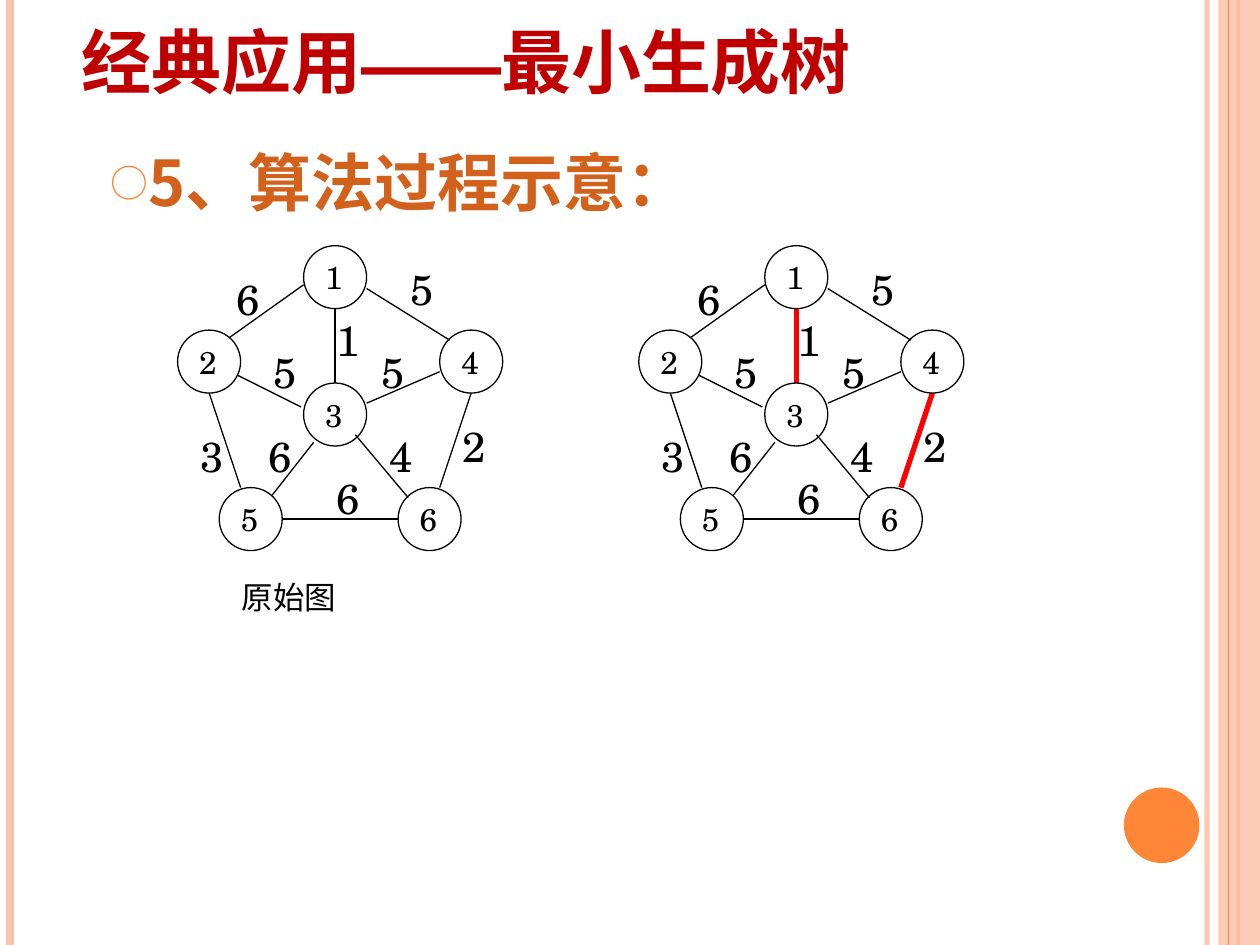
from lxml import etree
from pptx import Presentation
from pptx.dml.color import RGBColor
from pptx.enum.shapes import MSO_CONNECTOR, MSO_SHAPE
from pptx.enum.text import MSO_ANCHOR, PP_ALIGN
from pptx.oxml.ns import qn
from pptx.util import Inches, Pt

STRAIGHT = MSO_CONNECTOR.STRAIGHT
OVAL, RECTANGLE = MSO_SHAPE.OVAL, MSO_SHAPE.RECTANGLE
MIDDLE, BOTTOM = MSO_ANCHOR.MIDDLE, MSO_ANCHOR.BOTTOM
LEFT = PP_ALIGN.LEFT

BLACK = RGBColor(0x00, 0x00, 0x00)
RED = RGBColor(0xFF, 0x00, 0x00)
DARK_RED = RGBColor(0xC0, 0x00, 0x00)
BROWN = RGBColor(0xD2, 0x61, 0x1C)
ORANGE = RGBColor(0xFE, 0x86, 0x37)
PEACH = RGBColor(0xFE, 0xC3, 0xAE)

SERIF, SANS, DASH_FONT = "TeX Gyre Schola", "Noto Sans CJK SC", "Arial"

NODE_SIZE = 0.5
# Node number: left, top within the graph
NODES = {1: (1, 0), 2: (0, 0.67), 3: (1, 1.09),
         4: (2.08, 0.67), 5: (0.33, 1.92), 6: (1.75, 1.92)}
# Node pair: weight, start, end, corner of the weight label
EDGES = {
    (1, 2): (6, (0.41, 0.73), (1, 0.31), (0.37, 0.17)),
    (1, 3): (1, (1.25, 1.09), (1.25, 0.5), (1.16, 0.5)),
    (1, 4): (5, (1.5, 0.34), (2.16, 0.75), (1.75, 0.09)),
    (2, 3): (5, (0.48, 1.03), (0.98, 1.28), (0.66, 0.75)),
    (2, 5): (3, (0.5, 1.92), (0.25, 1.17), (0.08, 1.42)),
    (3, 4): (5, (1.5, 1.25), (2.08, 1), (1.52, 0.75)),
    (3, 5): (6, (0.75, 1.98), (1.08, 1.56), (0.62, 1.42)),
    (3, 6): (4, (1.41, 1.5), (1.83, 2), (1.58, 1.42)),
    (4, 6): (2, (2.08, 1.92), (2.33, 1.17), (2.16, 1.34)),
    (5, 6): (6, (0.83, 2.17), (1.75, 2.17), (1.16, 1.75)),
}


def set_alpha(element, percent):
    color = next(element.iter(qn("a:srgbClr")))
    etree.SubElement(color, qn("a:alpha")).set("val", str(percent * 1000))


def set_typeface(font, name, east_asian=None):
    font.name = name
    latin = font._element.find(qn("a:latin")) if hasattr(font, "_element") else font._rPr.find(qn("a:latin"))
    asian = etree.Element(qn("a:ea"))
    asian.set("typeface", east_asian or name)
    latin.addnext(asian)


def style(para, size, color, name=None, bold=False):
    font = para.font
    font.size, font.bold = Pt(size), bold
    font.color.rgb = color
    if name:
        set_typeface(font, name)


def add_line(page, start, end, color, width):
    line = page.shapes.add_connector(STRAIGHT, *map(Inches, start + end))
    line.line.color.rgb = color
    line.line.width = Pt(width)
    etree.SubElement(line._element.spPr, qn("a:effectLst"))
    return line


def add_filled(page, kind, box, color):
    shape = page.shapes.add_shape(kind, *map(Inches, box))
    shape.shadow.inherit = False
    shape.fill.solid()
    shape.fill.fore_color.rgb = color
    shape.line.fill.background()
    return shape


def add_text_box(page, box):
    frame = page.shapes.add_textbox(*map(Inches, box)).text_frame
    frame.word_wrap = True
    return frame


def add_label(page, box, text, size):
    para = add_text_box(page, box).paragraphs[0]
    para.text = text
    style(para, size, BLACK, SERIF)


def add_border(page, width, height):
    """Vertical stripes along both sides, and the disc."""
    def stripe(x, color, weight):
        return add_line(page, (x, 0), (x, height), color, weight)

    set_alpha(stripe(width - 0.42, PEACH, 3)._element, 93)
    stripe(0.08, PEACH, 4.5)
    stripe(width - 0.17, ORANGE, 1.5)
    band = add_filled(page, RECTANGLE, (width - 0.33, 0, 0.33, height), PEACH)
    set_alpha(band._element.spPr, 87)
    stripe(width - 0.25, ORANGE, 0.75)
    add_filled(page, OVAL, (width - 1.08, height - 1.25, 0.6, 0.6), ORANGE)


def add_title(page, box):
    frame = add_text_box(page, box)
    frame.vertical_anchor = BOTTOM
    para = frame.paragraphs[0]
    style(para, 40, DARK_RED, bold=True)
    for text, name in (("经典应用", SERIF), ("——", DASH_FONT), ("最小生成树", SERIF)):
        span = para.add_run()
        span.text = text
        set_typeface(span.font, name, SERIF)


def add_heading(page, box):
    """Bulleted section heading."""
    para = add_text_box(page, box).paragraphs[0]
    para.text = "5、算法过程示意："
    properties = para._p.get_or_add_pPr()
    properties.set("marL", str(Inches(0.3)))
    properties.set("indent", str(Inches(-0.3)))
    bullet_color = etree.SubElement(properties, qn("a:buClr"))
    etree.SubElement(bullet_color, qn("a:srgbClr")).set("val", str(ORANGE))
    etree.SubElement(properties, qn("a:buSzPct")).set("val", "60000")
    etree.SubElement(properties, qn("a:buFont")).set("typeface", SANS)
    etree.SubElement(properties, qn("a:buChar")).set("char", "○")
    style(para, 36, BROWN, SANS, bold=True)


def add_node(page, left, top, number):
    node = page.shapes.add_shape(OVAL, *map(Inches, (left, top, NODE_SIZE, NODE_SIZE)))
    node.shadow.inherit = False
    node.fill.background()
    node.line.color.rgb = BLACK
    node.line.width = Pt(0.75)
    frame = node.text_frame
    frame.word_wrap = False
    frame.vertical_anchor = MIDDLE
    para = frame.paragraphs[0]
    para.text = str(number)
    para.alignment = LEFT
    style(para, 18, BLACK, SERIF)


def add_graph(page, left, top, chosen=()):
    """Weighted graph whose chosen edges are drawn thick and red."""
    def place(point):
        return left + point[0], top + point[1]

    for pair, (weight, start, end, corner) in EDGES.items():
        color, width = (RED, 3) if pair in chosen else (BLACK, 0.75)
        add_line(page, place(start), place(end), color, width)
        add_label(page, place(corner) + (0.33, 0.5), str(weight), 24)
    for number, corner in NODES.items():
        add_node(page, *place(corner), number)


def main():
    deck = Presentation()
    deck.slide_width, deck.slide_height = Inches(10), Inches(7.5)
    page = deck.slides.add_slide(deck.slide_layouts[6])
    add_border(page, 10, 7.5)
    add_title(page, (0.55, -0.39, 8.17, 1.25))
    add_heading(page, (0.78, 1.09, 6.5, 0.83))
    add_graph(page, 1.41, 1.95)
    add_label(page, (1.82, 4.54, 1.75, 0.4), "原始图", 18)
    add_graph(page, 5.07, 1.95, chosen=((1, 3), (4, 6)))
    deck.save("out.pptx")


if __name__ == "__main__":
    main()
